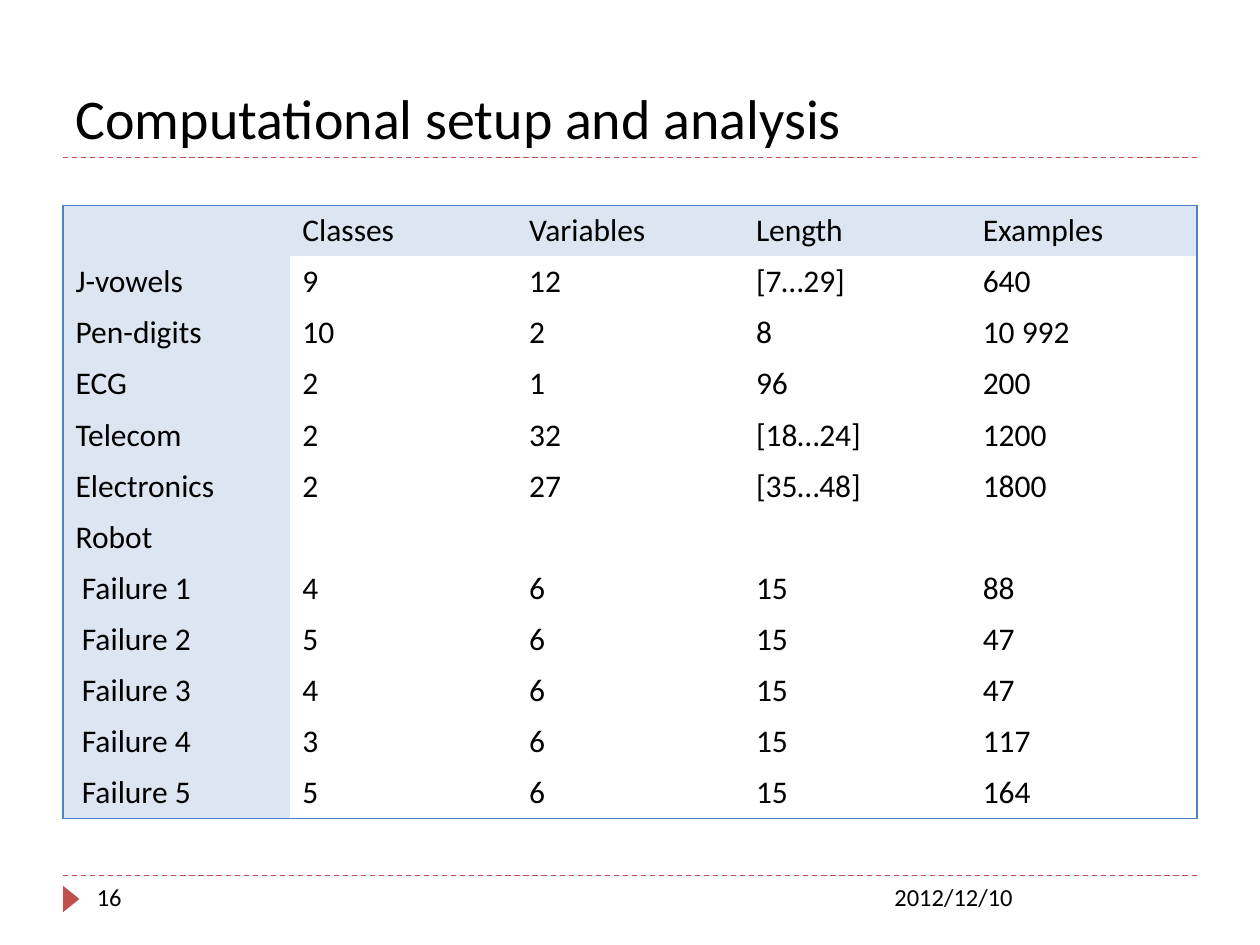
from lxml import etree
from pptx import Presentation
from pptx.dml.color import RGBColor
from pptx.enum.dml import MSO_LINE
from pptx.enum.shapes import MSO_CONNECTOR, MSO_SHAPE
from pptx.enum.text import MSO_ANCHOR, PP_ALIGN
from pptx.oxml.ns import qn
from pptx.util import Inches, Pt

STRAIGHT, TRIANGLE = MSO_CONNECTOR.STRAIGHT, MSO_SHAPE.ISOSCELES_TRIANGLE
DASH, BOTTOM, LEFT = MSO_LINE.DASH, MSO_ANCHOR.BOTTOM, PP_ALIGN.LEFT
BLACK = RGBColor(0x00, 0x00, 0x00)
RED = RGBColor(0xC0, 0x50, 0x4D)
BLUE = RGBColor(0x4F, 0x81, 0xBD)
PALE_BLUE = RGBColor(0xDC, 0xE6, 0xF2)
FONT = "Calibri"
PLAIN_TABLE_STYLE = "{2D5ABB26-0587-4C30-8999-92F81FD0307C}"
WIDTH, HEIGHT = Inches(10), Inches(7.5)
MARGIN = Inches(0.5)
CONTENT_WIDTH = WIDTH - 2 * MARGIN

DATASETS = [
    ["", "Classes", "Variables", "Length", "Examples"],
    ["J-vowels", "9", "12", "[7…29]", "640"],
    ["Pen-digits", "10", "2", "8", "10 992"],
    ["ECG", "2", "1", "96", "200"],
    ["Telecom", "2", "32", "[18…24]", "1200"],
    ["Electronics", "2", "27", "[35…48]", "1800"],
    ["Robot", "", "", "", ""],
    ["Failure 1", "4", "6", "15", "88"],
    ["Failure 2", "5", "6", "15", "47"],
    ["Failure 3", "4", "6", "15", "47"],
    ["Failure 4", "3", "6", "15", "117"],
    ["Failure 5", "5", "6", "15", "164"],
]


def write(frame, text, size):
    frame.text = text
    for run in frame.paragraphs[0].runs:
        run.font.name = FONT
        run.font.size = Pt(size)
        run.font.color.rgb = BLACK


def add_rule(slide, left, top, width):
    rule = slide.shapes.add_connector(STRAIGHT, left, top, left + width, top)
    rule.line.color.rgb = RED
    rule.line.width = Pt(0.75)
    rule.line.dash_style = DASH
    etree.SubElement(rule._element.spPr, qn("a:effectLst"))


def add_heading(slide, text, left, top, width, height):
    title = slide.shapes.title
    title.left, title.top, title.width, title.height = left, top, width, height
    frame = title.text_frame
    frame.vertical_anchor = BOTTOM
    write(frame, text, 32)
    frame.paragraphs[0].alignment = LEFT
    add_rule(slide, left, top + height, width)


def add_border(cell, side):
    """Draw one blue edge of a cell; side is L, R, T or B."""
    edge = etree.SubElement(cell._tc.get_or_add_tcPr(), qn(f"a:ln{side}"), w=str(Pt(0.75)))
    fill = etree.SubElement(edge, qn("a:solidFill"))
    etree.SubElement(fill, qn("a:srgbClr"), val=str(BLUE))


def add_dataset_table(slide, rows, left, top, width, height):
    last_row, last_column = len(rows) - 1, len(rows[0]) - 1
    table = slide.shapes.add_table(last_row + 1, last_column + 1, left, top, width, height).table
    table.first_row = table.horz_banding = False
    table._tbl.tblPr.find(qn("a:tableStyleId")).text = PLAIN_TABLE_STYLE
    for r, row in enumerate(rows):
        for c, value in enumerate(row):
            cell = table.cell(r, c)
            write(cell.text_frame, value, 18)
            if value.startswith("Failure"):
                cell.margin_left = Inches(0.15)
            outer = {"L": c == 0, "R": c == last_column, "T": r == 0, "B": r == last_row}
            for side, on_edge in outer.items():
                if on_edge:
                    add_border(cell, side)
            if r == 0 or c == 0:
                cell.fill.solid()
                cell.fill.fore_color.rgb = PALE_BLUE
            else:
                cell.fill.background()


def add_footer(slide, number, date, left, top, width, height):
    add_rule(slide, left, top, width)
    marker_width, marker_height = Inches(0.21), Inches(0.13)
    marker = slide.shapes.add_shape(TRIANGLE, left - Inches(0.04), top + Inches(0.12),
                                    marker_width, marker_height)
    marker.rotation = 90
    marker.shadow.inherit = False
    marker.fill.solid()
    marker.fill.fore_color.rgb = RED
    marker.line.fill.background()
    date_width = Inches(2.5)
    for text, text_left, text_width in (
        (date, left + width - date_width, date_width),
        (number, left + Inches(0.17), Inches(2.17)),
    ):
        frame = slide.shapes.add_textbox(text_left, top, text_width, height).text_frame
        frame.word_wrap = True
        write(frame, text, 14)


def main():
    deck = Presentation()
    deck.slide_width, deck.slide_height = WIDTH, HEIGHT
    slide = deck.slides.add_slide(deck.slide_layouts[5])
    add_heading(slide, "Computational setup and analysis",
                MARGIN, Inches(0.17), CONTENT_WIDTH, Inches(1.08))
    add_dataset_table(slide, DATASETS, MARGIN, Inches(1.63), CONTENT_WIDTH, Inches(4.8))
    add_footer(slide, "16", "2012/12/10", MARGIN, Inches(6.95), CONTENT_WIDTH, Inches(0.4))
    deck.save("out.pptx")


if __name__ == "__main__":
    main()
